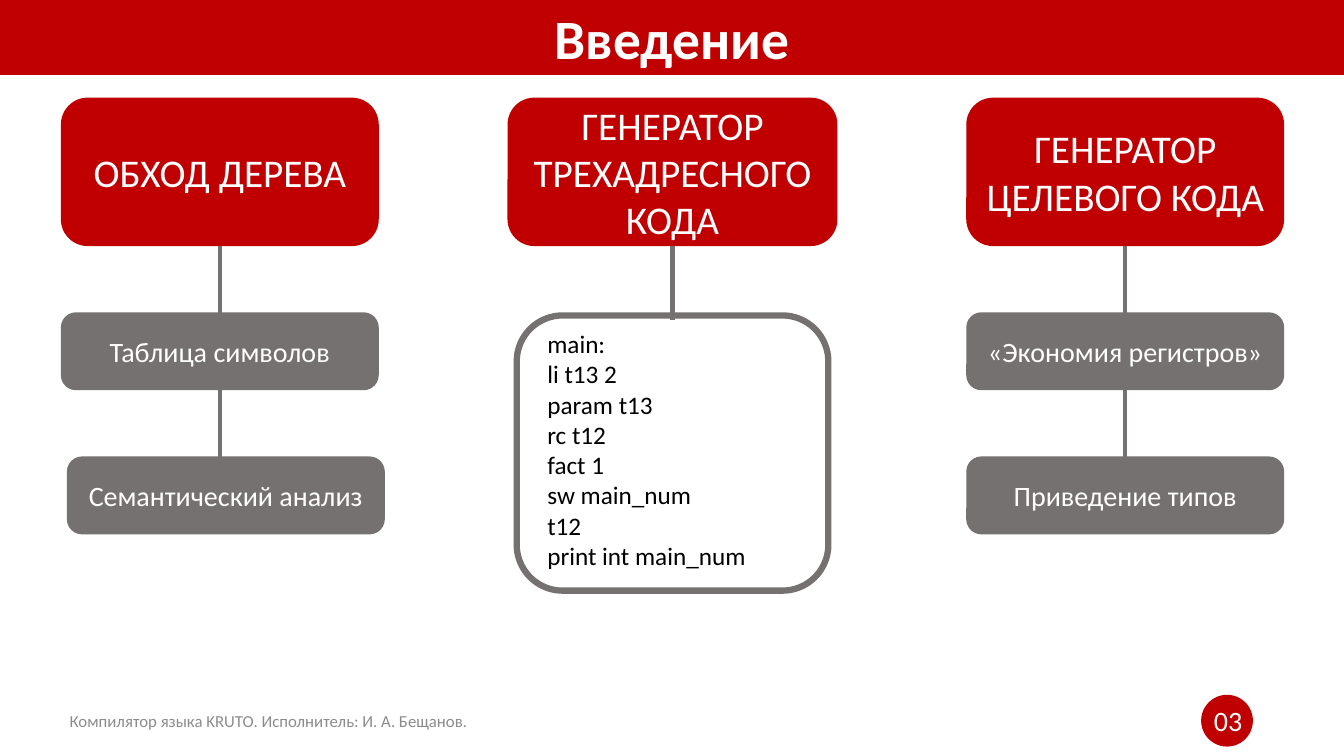
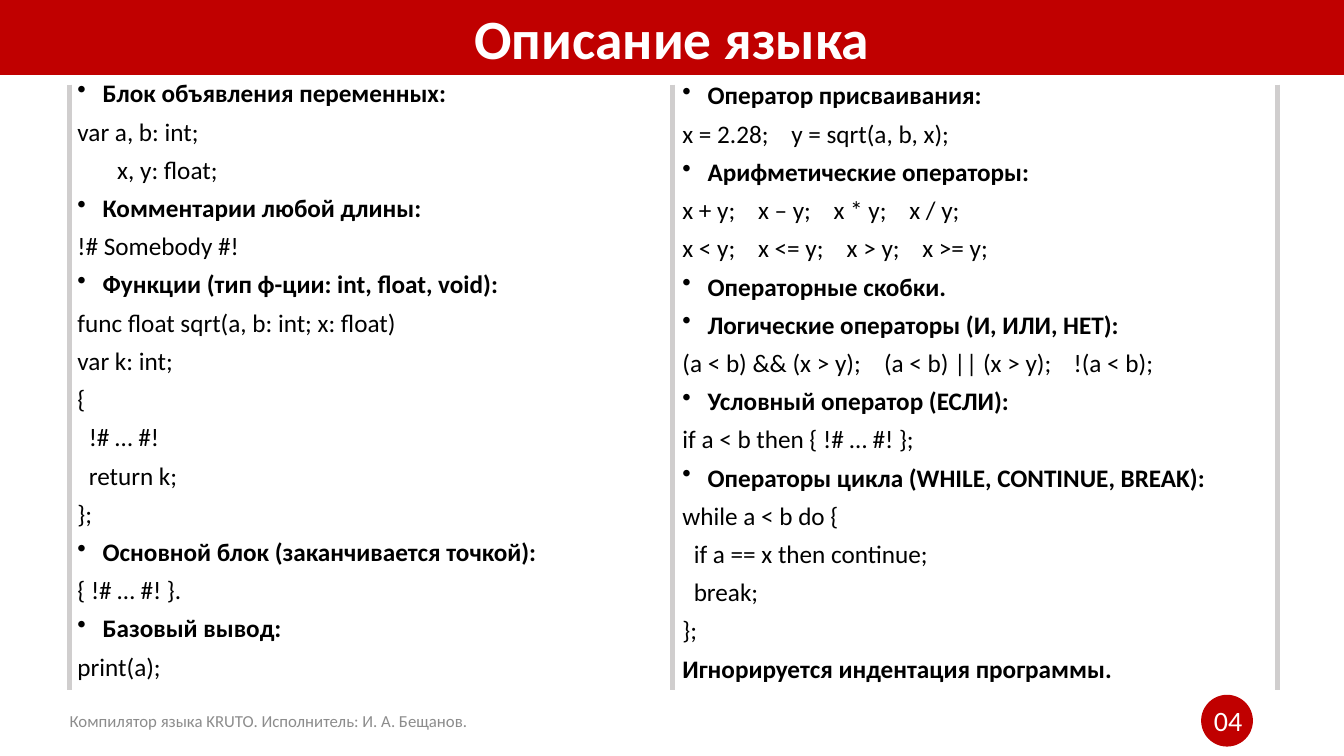
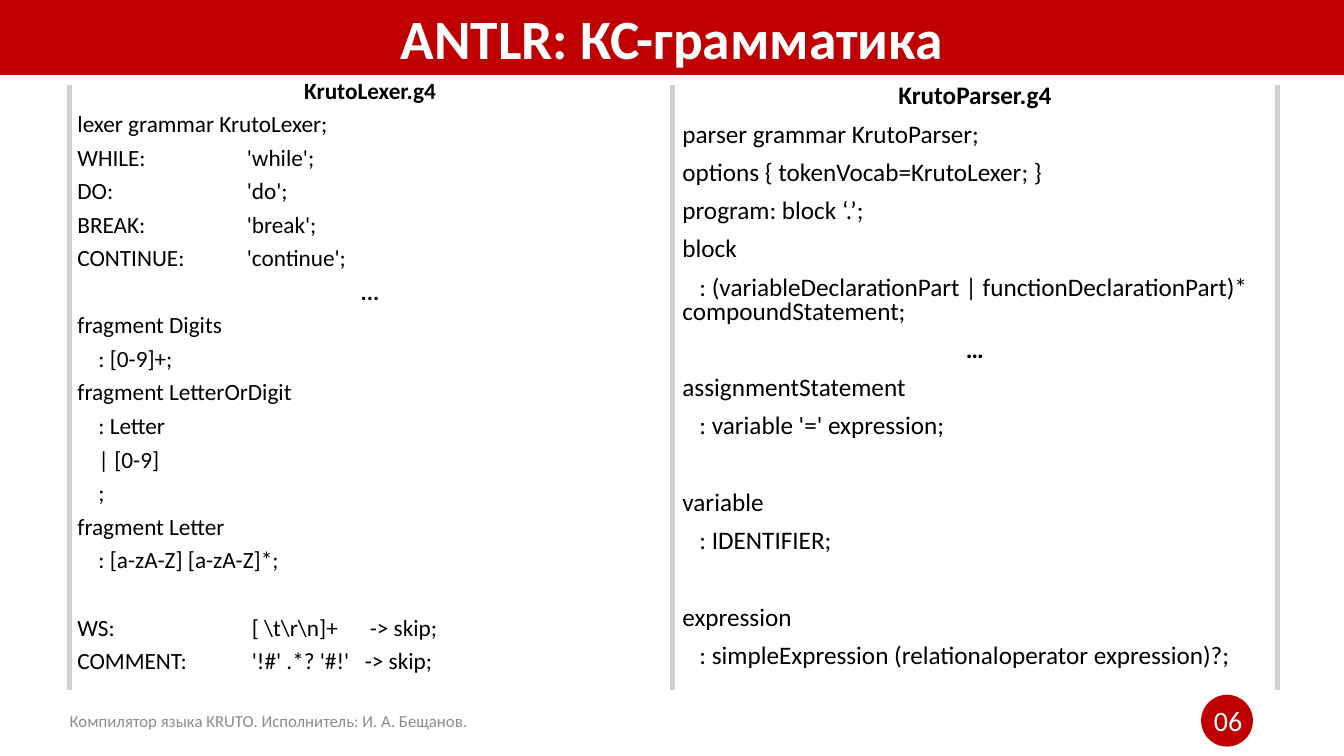
import pptx
import pptx.dml.color
import pptx.enum.shapes
import pptx.enum.text
import pptx.oxml
import pptx.oxml.ns
import pptx.util
from dataclasses import dataclass

Inches = pptx.util.Inches
Pt = pptx.util.Pt
Shape = pptx.enum.shapes.MSO_SHAPE
Align = pptx.enum.text.PP_ALIGN
Anchor = pptx.enum.text.MSO_ANCHOR
NS = pptx.oxml.ns.nsdecls("a")


@dataclass(frozen=True)
class Theme:
    font: str = "Calibri"
    red: str = "C00000"
    gray: str = "767171"
    pale: str = "D0CECE"
    mute: str = "8C8C8C"
    white: str = "FFFFFF"
    black: str = "000000"
    title: float = 39.6
    head: float = 28
    item: float = 20
    code: float = 18
    dense: float = 16.6
    foot: float = 12
    footer: str = "Компилятор языка KRUTO. Исполнитель: И. А. Бещанов."


THEME = Theme()

# Each kind of line: font and paragraph values
KINDS = {
    "code": ({"bold": False}, {}),
    "gap": ({"bold": False}, {}),
    "bold": ({"bold": True}, {}),
    "item": ({"bold": True}, {}),
    "mid": ({"bold": True}, {"alignment": Align.CENTER}),
}


def color(code):
    return pptx.dml.color.RGBColor.from_string(code)


def put(target, values):
    for name, value in values.items():
        setattr(target, name, value)


class Deck:
    def __init__(self, theme):
        self.theme = theme
        self.show = pptx.Presentation()
        put(self.show, {"slide_width": Inches(13.33), "slide_height": Inches(7.5)})
        self.slide = None

    def start(self, title, number):
        t = self.theme
        self.slide = self.show.slides.add_slide(self.show.slide_layouts[6])
        self.shape(Shape.OVAL, (11.92, 6.9, 0.5, 0.5), t.red, t.red, 1)
        self.label((9.42, 6.95, 3, 0.4), number, t.item, t.white, Align.RIGHT)
        band = self.shape(Shape.RECTANGLE, (0, 0, 13.33, 0.74), t.red, t.red, 0.75)
        self.text(band.text_frame, title, t.title, t.white, bold=True)
        self.label((0, 6.95, 5.33, 0.4), t.footer, t.foot, t.mute)

    def shape(self, kind, place, fill, line, width):
        shape = self.slide.shapes.add_shape(kind, *map(Inches, place))
        shape.shadow.inherit = False
        if fill:
            shape.fill.solid()
            shape.fill.fore_color.rgb = color(fill)
        else:
            shape.fill.background()
        shape.line.color.rgb = color(line)
        shape.line.width = Pt(width)
        return shape

    def frame(self, place, wrap=True):
        frame = self.slide.shapes.add_textbox(*map(Inches, place)).text_frame
        frame.word_wrap = wrap
        return frame

    def span(self, par, text, size, ink, bold=False):
        run = par.add_run()
        run.text = text
        put(run.font, {"name": self.theme.font, "size": Pt(size), "bold": bold})
        run.font.color.rgb = color(ink)

    def text(self, frame, text, size, ink, align=Align.CENTER, bold=False):
        """Fill a frame with one vertically centred paragraph."""
        frame.vertical_anchor = Anchor.MIDDLE
        frame.paragraphs[0].alignment = align
        self.span(frame.paragraphs[0], text, size, ink, bold)

    def label(self, place, text, size, ink, align=Align.CENTER):
        self.text(self.frame(place), text, size, ink, align)

    def box(self, place, text, size, fill):
        shape = self.shape(Shape.ROUNDED_RECTANGLE, place, fill, fill, 4.5)
        self.text(shape.text_frame, text, size, self.theme.white)

    def line(self, x, top, end, ink):
        line = self.slide.shapes.add_connector(
            pptx.enum.shapes.MSO_CONNECTOR.STRAIGHT, *map(Inches, (x, top, x, end)))
        line.line.color.rgb = color(ink)
        line.line.width = Pt(3)
        line._element.spPr.append(pptx.oxml.parse_xml(f"<a:effectLst {NS}/>"))

    def lines(self, frame, rows, size, pitch=None, space=0):
        """Add rows: plain code, or (kind, text, tab stops in inches)."""
        for i, row in enumerate(rows):
            kind, text, *stops = ("code", row) if isinstance(row, str) else row
            par = frame.add_paragraph() if i else frame.paragraphs[0]
            font, look = KINDS[kind]
            extra = space + 1.22 * size * pitch if kind == "gap" else 0
            before = Pt(round(space + extra, 1) if i else 0)
            put(par, {"line_spacing": pitch, "space_before": before, **look})
            props = par._p.get_or_add_pPr()
            if kind == "item":
                props.set("marL", str(Inches(0.25)))
                props.set("indent", str(-Inches(0.25)))
                props.append(pptx.oxml.parse_xml(f'<a:buChar {NS} char="•"/>'))
            if stops:
                tabs = "".join(f'<a:tab pos="{Inches(s)}" algn="l"/>' for s in stops)
                props.append(pptx.oxml.parse_xml(f"<a:tabLst {NS}>{tabs}</a:tabLst>"))
            self.span(par, text, size, self.theme.black, **font)

    def pair(self, left, right, size, pitch):
        """Two text columns between three rules; size and pitch are the left one's."""
        self.lines(self.frame((0.67, 0.78, 6, 6.1)), left, size, pitch, 10)
        self.lines(self.frame((6.67, 0.8, 6, 6.1)), right, self.theme.code, 0.8, 10)
        for x in (0.69, 6.67, 12.67):
            self.line(x, 0.84, 6.85, self.theme.pale)


def intro(deck):
    t = deck.theme
    wide, tall, low = 3.09, 1.41, 0.71
    rows = (3.13, 4.56)
    cols = (
        ("ОБХОД ДЕРЕВА", wide, ("Таблица символов", "Семантический анализ")),
        ("ГЕНЕРАТОР ТРЕХАДРЕСНОГО КОДА", 3.21, ()),
        ("ГЕНЕРАТОР ЦЕЛЕВОГО КОДА", wide, ("«Экономия регистров»", "Приведение типов")),
    )
    code = ("main:", "li t13 2", "param t13", "rc t12", "fact 1",
            "sw main_num", "t12", "print int main_num")
    shift = {"Семантический анализ": 0.06}

    deck.start("Введение", "03")
    for i, (head, width, items) in enumerate(cols):
        mid = 2.18 + 4.49 * i
        deck.box((mid - width / 2, 1, width, tall), head, t.head, t.red)
        for top, item in zip(rows, items):
            left = mid - wide / 2 + shift.get(item, 0)
            deck.box((left, top, wide, low), item, t.item, t.gray)
        if not items:
            deck.shape(Shape.ROUNDED_RECTANGLE, (mid - wide / 2, rows[0], wide, 2.73),
                       None, t.gray, 4.5)
            deck.lines(deck.frame((5.33, 3.21, 2.25, 2.52), False), code, t.code)
        deck.line(mid, 2.44, 3.17, t.gray)
        if items:
            deck.line(mid, rows[0] + low, rows[1], t.gray)


def syntax(deck):
    left = (
        ("item", "Блок объявления переменных:"),
        "var a, b: int;",
        "       x, y: float;",
        ("item", "Комментарии любой длины:"),
        "!# Somebody #!",
        ("item", "Функции (тип ф-ции: int, float, void):"),
        "func float sqrt(a, b: int; x: float)",
        "var k: int;",
        "{",
        "  !# … #!",
        "  return k;",
        "};",
        ("item", "Основной блок (заканчивается точкой):"),
        "{ !# … #! }.",
        ("item", "Базовый вывод:"),
        "print(a);",
    )
    right = (
        ("item", "Оператор присваивания:"),
        ("code", "x = 2.28;\ty = sqrt(a, b, x);", 1.08),
        ("item", "Арифметические операторы:"),
        ("code", "x + y;\tx – y;\tx * y;\tx / y;", 0.75, 1.5, 2.25),
        ("code", "x < y;\tx <= y;\tx > y;\tx >= y;", 0.75, 1.63, 2.38),
        ("item", "Операторные скобки."),
        ("item", "Логические операторы (И, ИЛИ, НЕТ):"),
        ("code", "(a < b) && (x > y);\t(a < b) || (x > y);\t!(a < b);", 2, 3.88),
        ("item", "Условный оператор (ЕСЛИ):"),
        "if a < b then { !# … #! };",
        ("item", "Операторы цикла (WHILE, CONTINUE, BREAK):"),
        "while a < b do {",
        "  if a == x then continue;",
        "  break;",
        "};",
        ("bold", "Игнорируется индентация программы."),
    )
    deck.start("Описание языка", "04")
    deck.pair(left, right, deck.theme.code, 0.8)


def grammar(deck):
    left = (
        ("mid", "KrutoLexer.g4"),
        "lexer grammar KrutoLexer;",
        ("code", "WHILE:\t'while';", 1.68),
        ("code", "DO:\t'do';", 1.68),
        ("code", "BREAK:\t'break';", 1.68),
        ("code", "CONTINUE:\t'continue';", 1.68),
        ("mid", "..."),
        "fragment Digits",
        "    : [0-9]+;",
        "fragment LetterOrDigit",
        "    : Letter",
        "    | [0-9]",
        "    ;",
        "fragment Letter",
        "    : [a-zA-Z] [a-zA-Z]*;",
        ("gap", "WS:\t[ \\t\\r\\n]+\t-> skip;", 1.73, 2.9),
        ("code", "COMMENT:\t'!#' .*? '#!'\t-> skip;", 1.73, 2.85),
    )
    right = (
        ("mid", "KrutoParser.g4"),
        "parser grammar KrutoParser;",
        "options { tokenVocab=KrutoLexer; }",
        "program: block ‘.’;",
        "block",
        "   : (variableDeclarationPart | functionDeclarationPart)* compoundStatement;",
        ("mid", "…"),
        "assignmentStatement",
        "   : variable '=' expression;",
        ("gap", "variable"),
        "   : IDENTIFIER;",
        ("gap", "expression"),
        "   : simpleExpression (relationaloperator expression)?;",
    )
    deck.start("ANTLR: КС-грамматика", "06")
    deck.pair(left, right, deck.theme.dense, 0.7)


def main():
    deck = Deck(THEME)
    for build in (intro, syntax, grammar):
        build(deck)
    deck.show.save("out.pptx")


if __name__ == "__main__":
    main()
